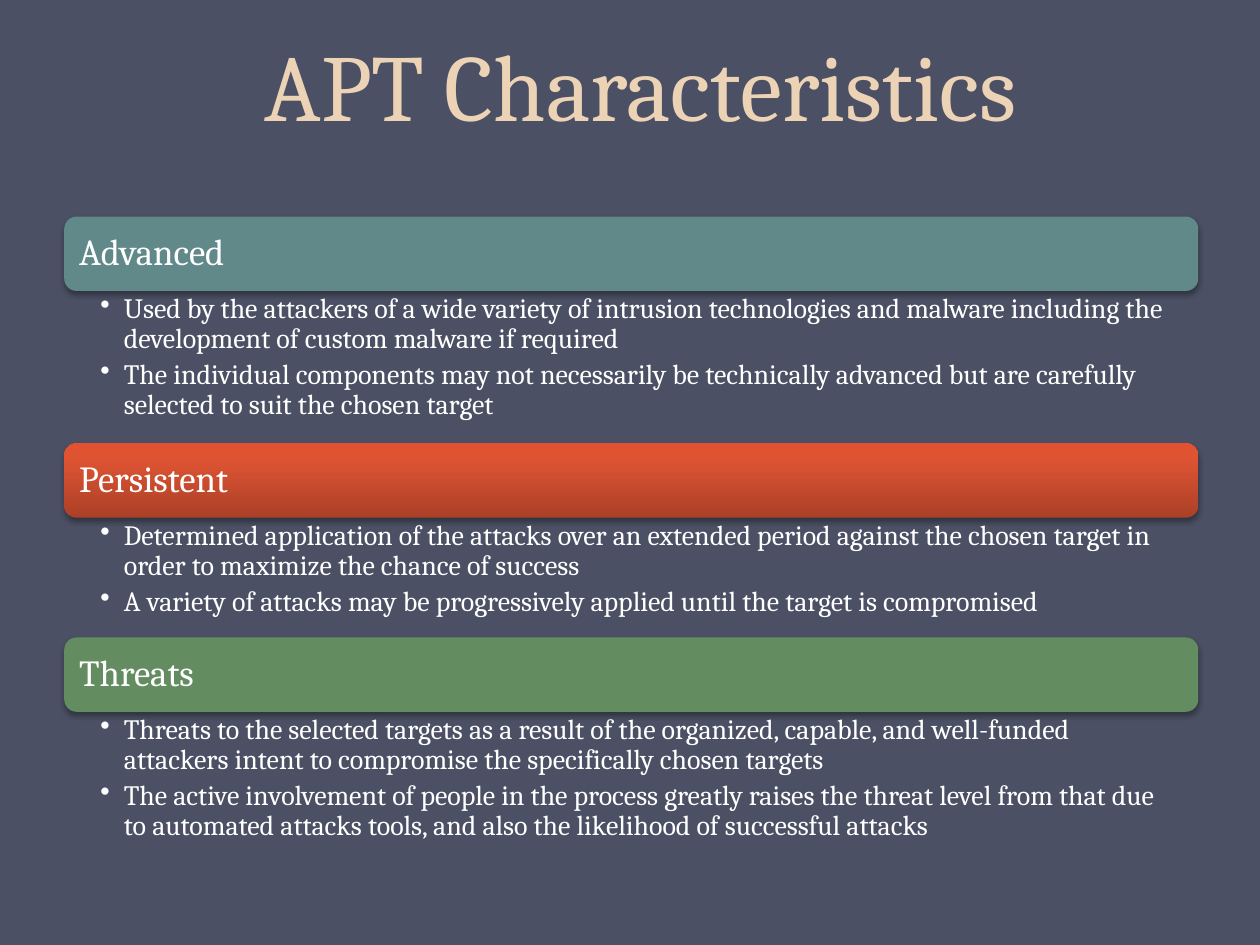
from lxml.etree import SubElement
from pptx import Presentation
from pptx.dml.color import RGBColor
from pptx.enum.shapes import MSO_SHAPE
from pptx.enum.text import MSO_ANCHOR, PP_ALIGN
from pptx.oxml.ns import qn
from pptx.util import Pt

FONT = "Cambria"
BACKGROUND, TITLE_COLOR, WHITE = "4B5064", "EDD3B6", "FFFFFF"
BAR_HEIGHT = 42.5
SECTIONS = [
    ("Advanced", "61898A", 87.1, [
        "Used by the attackers of a wide variety of intrusion technologies and malware "
        "including the development of custom malware if required",
        "The individual components may not necessarily be technically advanced but are "
        "carefully selected to suit the chosen target",
    ]),
    ("Persistent", [(0, "AB4027"), (80, "DE5433"), (100, "E35230")], 68.4, [
        "Determined application of the attacks over an extended period against the chosen "
        "target in order to maximize the chance of success",
        "A variety of attacks may be progressively applied until the target is compromised",
    ]),
    ("Threats", "648C61", 87.1, [
        "Threats to the selected targets as a result of the organized, capable, and "
        "well-funded attackers intent to compromise the specifically chosen targets",
        "The active involvement of people in the process greatly raises the threat level "
        "from that due to automated attacks tools, and also the likelihood of successful attacks",
    ]),
]


def rgb(value):
    return RGBColor.from_string(value)


def apply(target, values):
    for name, value in values.items():
        setattr(target, name, value)


def set_font(paragraph, size, color):
    apply(paragraph.font, {"name": FONT, "size": Pt(size)})
    paragraph.font.color.rgb = rgb(color)


def set_frame(frame, anchor, left, top, right, bottom):
    apply(frame, {
        "word_wrap": True, "vertical_anchor": anchor,
        "margin_left": Pt(left), "margin_top": Pt(top),
        "margin_right": Pt(right), "margin_bottom": Pt(bottom),
    })


def fill_bar(bar, fill):
    """Fill with one colour, or with gradient stops running from bottom to top."""
    if isinstance(fill, str):
        bar.fill.solid()
        bar.fill.fore_color.rgb = rgb(fill)
        return
    bar.fill.gradient()
    bar.fill.gradient_angle = 90
    stops = next(bar.element.iter(qn("a:gsLst")))
    stops.clear()
    for position, color in fill:
        stop = SubElement(stops, qn("a:gs"), pos=str(position * 1000))
        SubElement(stop, qn("a:srgbClr"), val=color)


def add_soft_shadow(bar):
    bar.shadow.inherit = False
    effects = bar.element.spPr.find(qn("a:effectLst"))
    shadow = SubElement(effects, qn("a:outerShdw"), blurRad=str(Pt(3.1)),
                        dist=str(Pt(1.8)), dir="5400000", rotWithShape="0")
    color = SubElement(shadow, qn("a:srgbClr"), val="000000")
    SubElement(color, qn("a:alpha"), val="35000")


def add_heading(slide, heading, fill, left, top, width, height):
    bar = slide.shapes.add_shape(MSO_SHAPE.ROUNDED_RECTANGLE,
                                 Pt(left), Pt(top), Pt(width), Pt(height))
    fill_bar(bar, fill)
    bar.line.fill.background()
    add_soft_shadow(bar)
    set_frame(bar.text_frame, MSO_ANCHOR.MIDDLE, 6.5, 6.5, 6.5, 6.5)
    paragraph = bar.text_frame.paragraphs[0]
    apply(paragraph, {"text": heading, "alignment": PP_ALIGN.LEFT, "line_spacing": 0.9})
    set_font(paragraph, 21, WHITE)


def add_points(slide, points, left, top, width, height):
    frame = slide.shapes.add_textbox(Pt(left), Pt(top), Pt(width), Pt(height)).text_frame
    set_frame(frame, MSO_ANCHOR.TOP, 20.6, 2, 11.5, 2)
    for index, point in enumerate(points):
        paragraph = frame.add_paragraph() if index else frame.paragraphs[0]
        apply(paragraph, {"text": point, "level": 1, "alignment": PP_ALIGN.LEFT,
                          "line_spacing": 0.9, "space_after": Pt(3.2)})
        properties = paragraph._p.get_or_add_pPr()
        properties.set("marL", str(Pt(13.5)))
        properties.set("indent", str(Pt(-13.5)))
        SubElement(properties, qn("a:buChar"), char="•")
        set_font(paragraph, 16, WHITE)


def add_sections(slide, left, top, width):
    for heading, fill, points_height, points in SECTIONS:
        add_heading(slide, heading, fill, left, top, width, BAR_HEIGHT)
        top += BAR_HEIGHT
        add_points(slide, points, left, top, width, points_height)
        top += points_height


def set_title(slide, text, left, top, width, height):
    title = slide.shapes.title
    apply(title, {"left": Pt(left), "top": Pt(top), "width": Pt(width), "height": Pt(height)})
    set_frame(title.text_frame, MSO_ANCHOR.BOTTOM, 7.2, 3.6, 7.2, 3.6)
    paragraph = title.text_frame.paragraphs[0]
    apply(paragraph, {"text": text, "alignment": PP_ALIGN.CENTER, "line_spacing": Pt(58)})
    set_font(paragraph, 54, TITLE_COLOR)


def main():
    presentation = Presentation()
    apply(presentation, {"slide_width": Pt(720), "slide_height": Pt(540)})
    slide = presentation.slides.add_slide(presentation.slide_layouts[5])
    slide.background.fill.solid()
    slide.background.fill.fore_color.rgb = rgb(BACKGROUND)
    set_title(slide, "APT Characteristics", 42, -42, 648, 126)
    add_sections(slide, 36.75, 123.75, 648)
    presentation.save("out.pptx")


if __name__ == "__main__":
    main()
